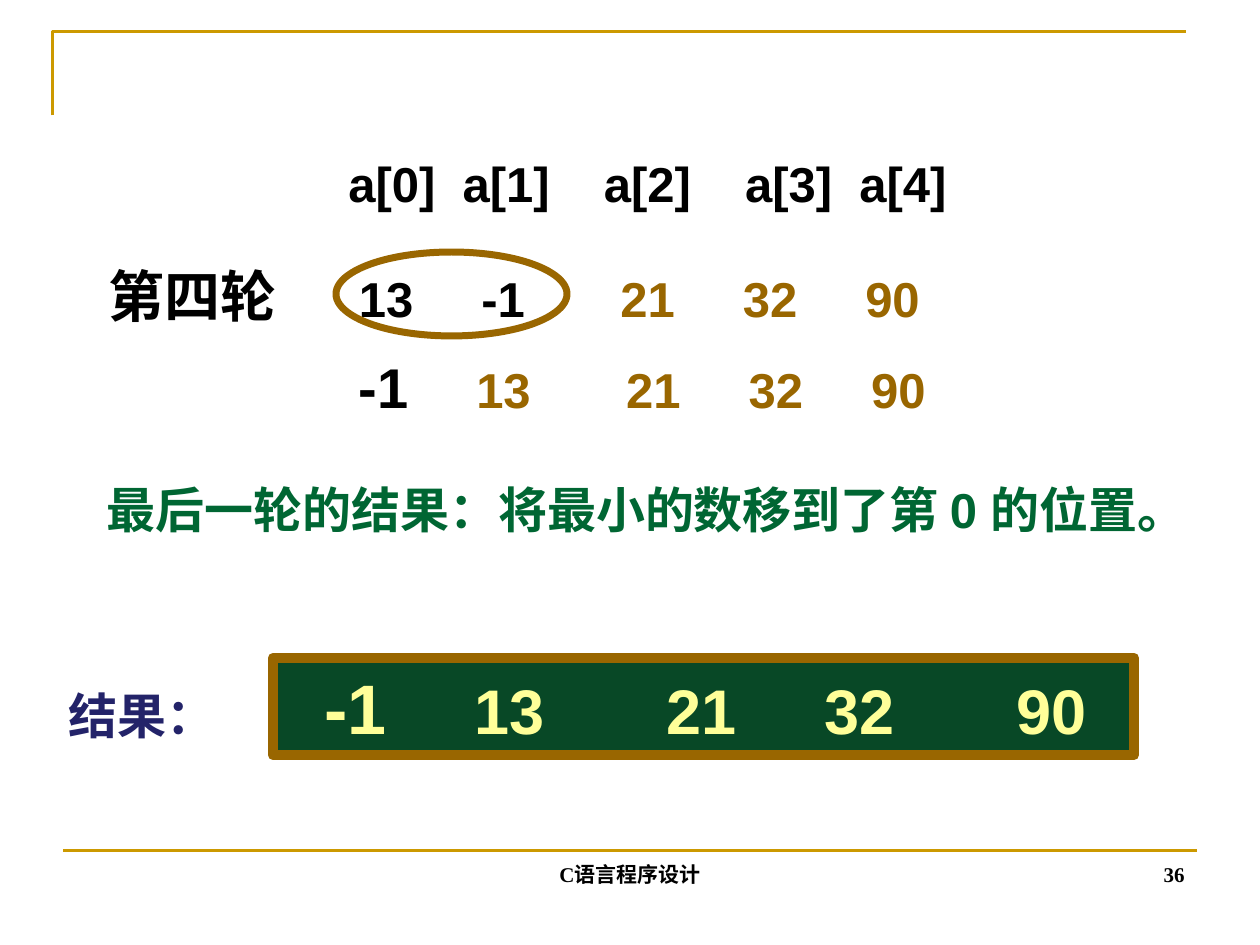
from lxml import etree
from pptx import Presentation
from pptx.dml.color import RGBColor
from pptx.enum import shapes, text
from pptx.oxml import ns
from pptx.util import Pt

COLORS = {
    "rule": "CC9900", "ink": "000000", "sorted": "996600", "panel": "084826",
    "panel_text": "FFFF99", "label": "232369", "conclusion": "006633",
}


def color(name):
    return RGBColor.from_string(COLORS[name])


def add_tabs(para, stops):
    """Add left tab stops, measured in points from the text edge."""
    tabs = etree.SubElement(para._p.get_or_add_pPr(), ns.qn("a:tabLst"))
    for stop in stops:
        etree.SubElement(tabs, ns.qn("a:tab"), pos=str(int(Pt(stop))), algn="l")


def write_spans(para, spans, font="Arial"):
    """Fill a paragraph with (words, size, colour name) spans."""
    for words, size, name in spans:
        span = para.add_run()
        span.text = words
        span.font.name = font
        span.font.size = Pt(size)
        span.font.bold = True
        span.font.color.rgb = color(name)


def add_text(page, left, top, width, height, spans, stops=(), font="Arial", wrap=True):
    box = page.shapes.add_textbox(Pt(left), Pt(top), Pt(width), Pt(height))
    box.text_frame.word_wrap = wrap
    para = box.text_frame.paragraphs[0]
    if stops:
        add_tabs(para, stops)
    write_spans(para, spans, font)
    return box


def add_shape(page, kind, left, top, width, height, line_width, fill=None):
    shape = page.shapes.add_shape(kind, Pt(left), Pt(top), Pt(width), Pt(height))
    shape.shadow.inherit = False
    shape.line.color.rgb = color("sorted")
    shape.line.width = Pt(line_width)
    if fill:
        shape.fill.solid()
        shape.fill.fore_color.rgb = color(fill)
    else:
        shape.fill.background()
    return shape


def add_frame(page, left, top, width, height):
    """Draw the corner rule at the top and the straight rule at the bottom."""
    builder = page.shapes.build_freeform(Pt(left), Pt(top + 48))
    builder.add_line_segments(
        [(Pt(left), Pt(top)), (Pt(left + width), Pt(top))], close=False)
    corner = builder.convert_to_shape()
    corner.fill.background()
    corner.shadow.inherit = False
    bottom = page.shapes.add_connector(
        shapes.MSO_CONNECTOR.STRAIGHT, Pt(left + 6), Pt(top + height),
        Pt(left + 6 + width), Pt(top + height))
    etree.SubElement(bottom._element.spPr, ns.qn("a:effectLst"))
    for rule in (corner, bottom):
        rule.line.color.rgb = color("rule")
        rule.line.width = Pt(1.5)


def add_round(page, left, top):
    """Show the array indexes, the compared pair and the row after the swap."""
    add_text(page, left + 137, top, 444, 41,
             [("a[0]\ta[1]\ta[2]\ta[3]\ta[4]", 28, "ink")], (65.3, 146, 226.7, 292))
    add_text(page, left + 143, top + 66, 396, 41,
             [("13\t-1\t", 28, "ink"), ("21\t32\t90", 28, "sorted")],
             (70, 149.4, 219.4, 289.4))
    add_shape(page, shapes.MSO_SHAPE.OVAL, left + 137, top + 60, 132, 48, 4)
    add_text(page, left + 125, top + 114, 396, 46,
             [("\t-1\t", 32, "ink"), ("13\t21\t32\t90", 28, "sorted")],
             (17.8, 85.1, 170.7, 240.7, 310.8))
    add_text(page, left, top + 62, 117, 46, [("第四轮", 32, "ink")], wrap=False)


def add_conclusion(page, left, top, width, height):
    words = "最后一轮的结果：将最小的数移到了第 0 的位置。"
    box = add_text(page, left, top, width, height, [(words, 28, "conclusion")])
    box.text_frame.paragraphs[0].line_spacing = 1.1


def add_result(page, left, top):
    panel = add_shape(page, shapes.MSO_SHAPE.RECTANGLE, left + 124, top, 492, 55.5,
                      6, "panel")
    panel.text_frame.vertical_anchor = text.MSO_ANCHOR.TOP
    para = panel.text_frame.paragraphs[0]
    para.alignment = text.PP_ALIGN.LEFT
    add_tabs(para, (22.2, 107.8, 217.9, 308, 418))
    write_spans(para, [("\t-1\t", 40, "panel_text"),
                       ("13\t21\t32\t90", 36, "panel_text")])
    add_text(page, left, top + 12, 100, 41, [("结果：", 28, "label")])


def add_footer(page, top, height):
    align = text.PP_ALIGN
    for words, left, width, side in (("36", 516, 168, align.RIGHT),
                                     ("C语言程序设计", 246, 228, align.CENTER)):
        box = add_text(page, left, top, width, height, [(words, 12, "ink")],
                       font="Times New Roman")
        box.text_frame.vertical_anchor = text.MSO_ANCHOR.BOTTOM
        box.text_frame.paragraphs[0].alignment = side


def main():
    deck = Presentation()
    deck.slide_width, deck.slide_height = Pt(720), Pt(540)
    page = deck.slides.add_slide(deck.slide_layouts[6])
    add_frame(page, 30, 18, 648, 468)
    add_round(page, 55, 84)
    add_conclusion(page, 54, 267, 618, 45)
    add_result(page, 32, 376)
    add_footer(page, 474, 36)
    deck.save("out.pptx")


if __name__ == "__main__":
    main()
